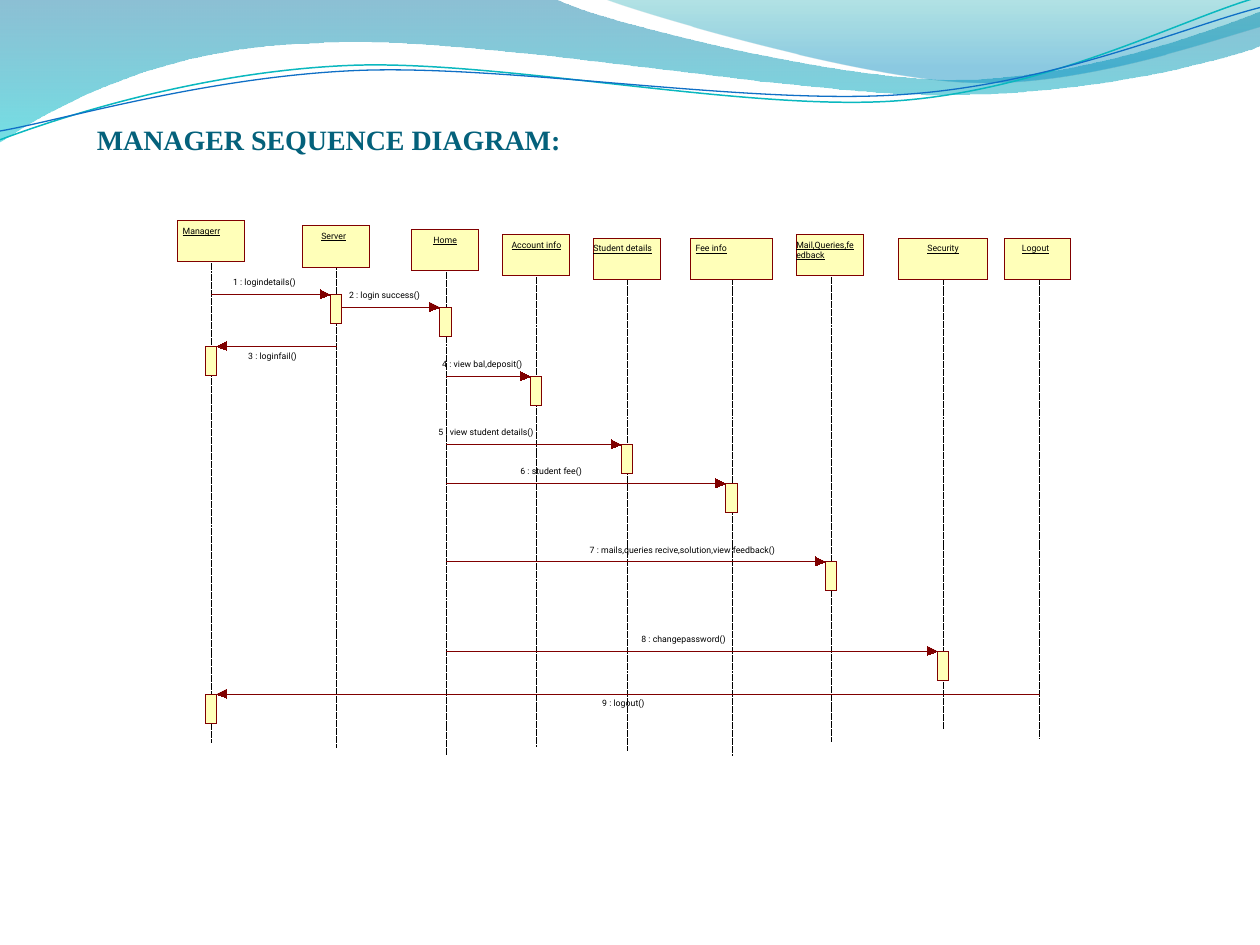
from lxml.etree import SubElement
from pptx import Presentation
from pptx.dml.color import RGBColor
from pptx.enum.dml import MSO_LINE
from pptx.enum.shapes import MSO_CONNECTOR, MSO_SHAPE
from pptx.enum.text import MSO_ANCHOR, MSO_AUTO_SIZE
from pptx.oxml.ns import qn
from pptx.util import Inches, Pt

COLORS = {
    "title": "04617B", "text": "000000", "box": "FFFFB9", "edge": "800000",
    "blue": "0074A1", "cyan": "00C6CF", "teal": "00A1A9", "sky": "008BBF",
    "wave_teal": "0AB8BF", "wave_blue": "0F6FC6",
}
HAIRLINE = 0.01
BAR_H = 0.23

# Each outline is a start point and segments: 2 numbers for a line, 6 for a Bezier curve.
# Each gradient stop is position, colour, opacity in percent.
BANDS = [
    ((0, 0), [(4.4, -0.01), (4.76, 0.17, 6.64, 0.63, 7.58, 0.63),
              (8.53, 0.63, 9.58, 0.26, 10, 0.09), (10.01, 0.36),
              (9.83, 0.44, 8.7, 0.76, 7.46, 0.75), (6.22, 0.75, 3.82, 0.28, 2.57, 0.34),
              (1.29, 0.36, 0.46, 0.83, -0.01, 1.13)],
     [(0, "blue", 45), (1, "cyan", 55)]),
    ((4.79, -0.01), [(5.09, 0.11, 6.82, 0.62, 7.69, 0.65),
                     (8.56, 0.69, 9.61, 0.32, 10, 0.21), (10, 0)],
     [(0, "teal", 30), (0.8, "sky", 45)]),
]
WAVES = [
    ((0, 1.11), [(0.48, 0.93, 1.58, 0.57, 2.77, 0.52), (3.95, 0.47, 5.93, 0.89, 7.13, 0.8),
                 (8.33, 0.71, 9.38, 0.15, 9.98, -0.02)], "wave_teal", 0.85),
    ((0, 1.04), [(0.47, 0.96, 1.64, 0.61, 2.83, 0.56), (4.03, 0.51, 5.97, 0.84, 7.17, 0.75),
                 (8.36, 0.67, 9.41, 0.21, 10, 0.06)], "wave_blue", 0.75),
]

# name: box left, top, width; label left, width, wraps; lifeline x, bottom
PARTICIPANTS = {
    "Managerr": (1.41, 1.75, 0.53, 1.45, 0.37, False, 1.68, 5.89),
    "Server": (2.4, 1.79, 0.53, 2.55, 0.25, False, 2.67, 5.93),
    "Home": (3.27, 1.82, 0.53, 3.44, 0.23, False, 3.54, 6),
    "Account info": (3.99, 1.86, 0.53, 4.06, 0.55, True, 4.26, 5.93),
    "Student details": (4.71, 1.89, 0.53, 4.71, 0.59, True, 4.98, 5.96),
    "Fee info": (5.48, 1.89, 0.65, 5.52, 0.31, False, 5.81, 6),
    "Mail,Queries,feedback": (6.32, 1.86, 0.53, 6.32, 0.47, True, 6.6, 5.89),
    "Security": (7.13, 1.89, 0.71, 7.36, 0.41, True, 7.49, 5.79),
    "Logout": (7.97, 1.89, 0.53, 8.11, 0.25, False, 8.25, 5.86),
}
# text, sender, receiver, y, label left, label width, label indent if any
MESSAGES = [
    ("1 : logindetails()", "Managerr", "Server", 2.34, 1.85, 0.63),
    ("2 : login success()", "Server", "Home", 2.44, 2.77, 0.68),
    ("3 : loginfail()", "Server", "Managerr", 2.75, 1.97, 0.5),
    ("4 : view bal,deposit()", "Home", "Account info", 2.99, 3.35, 1.01, 0.16),
    ("5 : view student details()", "Home", "Student details", 3.53, 3.48, 0.93),
    ("6 : student fee()", "Home", "Fee info", 3.84, 4.13, 0.61),
    ("7 : mails,queries recive,solution,view feedback()", "Home",
     "Mail,Queries,feedback", 4.46, 4.68, 1.82),
    ("8 : changepassword()", "Home", "Security", 5.17, 5.09, 0.82),
    ("9 : logout()", "Logout", "Managerr", 5.51, 4.78, 0.43),
]


class Diagram:
    """Style and current slide, with a method for each kind of element."""

    def __init__(self, slide):
        self.shapes = slide.shapes
        self.bar_ends = {}

    def color(self, name):
        return RGBColor.from_string(COLORS[name])

    def paint(self, sp, fill=None, line=None, width=HAIRLINE):
        sp.shadow.inherit = False
        if fill:
            sp.fill.solid()
            sp.fill.fore_color.rgb = self.color(fill)
        else:
            sp.fill.background()
        if line:
            sp.line.color.rgb = self.color(line)
            sp.line.width = Pt(width)
        else:
            sp.line.fill.background()

    def outline(self, start, segments, close=True, **style):
        """Draw a freeform, turning the six-number segments into Bezier curves."""
        fb = self.shapes.build_freeform(*map(Inches, start))
        fb.add_line_segments([tuple(map(Inches, seg[-2:])) for seg in segments], close=close)
        sp = fb.convert_to_shape()
        for edge, seg in zip(list(sp._element.spPr.iter(qn("a:lnTo"))), segments):
            if len(seg) == 2:
                continue
            curve = edge.makeelement(qn("a:cubicBezTo"))
            for x, y in zip(seg[::2], seg[1::2]):
                pt = SubElement(curve, qn("a:pt"))
                pt.set("x", str(Inches(x) - sp.left))
                pt.set("y", str(Inches(y) - sp.top))
            edge.getparent().replace(edge, curve)
        self.paint(sp, **style)
        return sp

    def band(self, start, segments, stops):
        """Draw an outline filled from top to bottom with translucent colours."""
        sp = self.outline(start, segments)
        sp.fill.gradient()
        sp.fill.gradient_angle = 270
        for stop, (position, name, _) in zip(sp.fill.gradient_stops, stops):
            stop.position = position
            stop.color.rgb = self.color(name)
        for clr, (_, _, opacity) in zip(sp._element.spPr.iter(qn("a:srgbClr")), stops):
            SubElement(clr, qn("a:alpha")).set("val", str(opacity * 1000))

    def box(self, x, y, w, h):
        sp = self.shapes.add_shape(MSO_SHAPE.RECTANGLE, *map(Inches, (x, y, w, h)))
        self.paint(sp, "box", "edge")

    def line(self, x1, y1, x2, y2, color, dash=None):
        cn = self.shapes.add_connector(MSO_CONNECTOR.STRAIGHT, *map(Inches, (x1, y1, x2, y2)))
        cn.line.color.rgb = self.color(color)
        cn.line.width = Pt(HAIRLINE)
        if dash:
            cn.line.dash_style = dash
        SubElement(cn._element.spPr, qn("a:effectLst"))

    def text(self, text, x, y, w, h=0.29, size=5, font="Roboto", color="text",
             bold=False, underline=False, wrap=False, indent=0):
        tf = self.shapes.add_textbox(*map(Inches, (x, y, w, h))).text_frame
        tf.word_wrap = wrap
        tf.auto_size = MSO_AUTO_SIZE.SHAPE_TO_FIT_TEXT
        tf.margin_left = Inches(indent)
        tf.margin_right = tf.margin_top = tf.margin_bottom = 0
        r = tf.paragraphs[0].add_run()
        r.text = text
        r.font.size, r.font.name = Pt(size), font
        r.font.bold, r.font.underline = bold, underline
        r.font.color.rgb = self.color(color)
        return tf

    def title(self, text, x, y, w, h):
        tf = self.text(text, x, y, w, h, size=16, font="Times New Roman", color="title", bold=True)
        tf.margin_left = tf.margin_right = Inches(0.1)
        tf.margin_top = tf.margin_bottom = Inches(0.05)
        tf.vertical_anchor = MSO_ANCHOR.MIDDLE

    def participant(self, name, x, y, w, label_x, label_w, wrap, life_x, bottom):
        self.box(x, y, w, 0.33)
        self.text(name, label_x, y + 0.04, label_w, underline=True, wrap=wrap)
        self.line(life_x, y + 0.34, life_x, bottom, "text", MSO_LINE.ROUND_DOT)

    def message(self, text, x1, x2, y, label_x, label_w, indent=0):
        """Draw an arrow between two lifelines, the receiver's activation bar and a label."""
        forward = x2 > x1
        tip = x2 - 0.05 if forward else x2 + 0.04
        back = tip - 0.08 if forward else tip + 0.08
        start = x1 + 0.05 if y < self.bar_ends.get(x1, 0) else x1
        self.line(start, y, tip, y, "edge")
        self.outline((back, y + 0.03), [(tip, y), (back, y - 0.04)], fill="edge", line="edge")
        self.box(x2 - 0.05, y, 0.09, BAR_H)
        self.bar_ends[x2] = y + BAR_H
        self.text(text, label_x, y - 0.14 if forward else y + 0.03, label_w, indent=indent)


def main():
    prs = Presentation()
    prs.slide_width, prs.slide_height = Inches(10), Inches(7.5)
    d = Diagram(prs.slides.add_slide(prs.slide_layouts[6]))
    for band in BANDS:
        d.band(*band)
    for start, segments, color, width in WAVES:
        d.outline(start, segments, close=False, line=color, width=width)
    d.title("MANAGER SEQUENCE DIAGRAM:", 0.67, 0.92, 3.92, 0.37)
    for name, layout in PARTICIPANTS.items():
        d.participant(name, *layout)
    life_x = {name: layout[6] for name, layout in PARTICIPANTS.items()}
    for text, sender, receiver, *place in MESSAGES:
        d.message(text, life_x[sender], life_x[receiver], *place)
    prs.save("out.pptx")


if __name__ == "__main__":
    main()
